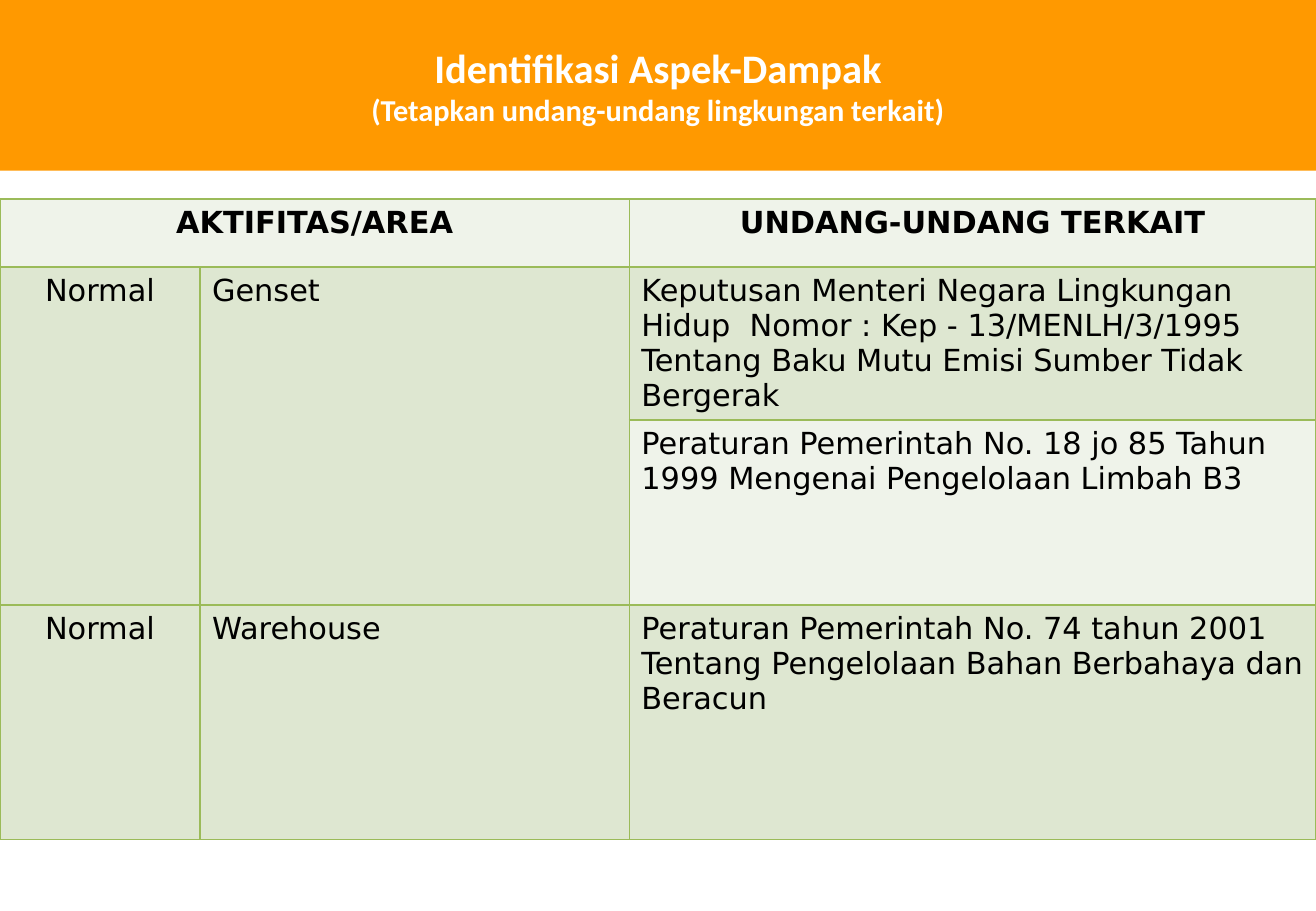
from lxml.etree import SubElement
from pptx import Presentation
from pptx.dml.color import RGBColor
from pptx.enum.shapes import MSO_SHAPE as SHAPE
from pptx.enum.text import MSO_ANCHOR as ANCHOR, PP_ALIGN as ALIGN
from pptx.oxml.ns import qn
from pptx.util import Pt

ORANGE = RGBColor(0xFF, 0x99, 0x00)
WHITE = RGBColor(0xFF, 0xFF, 0xFF)
BLACK = RGBColor(0x00, 0x00, 0x00)
GREEN = RGBColor(0x9B, 0xBB, 0x59)
PALE = RGBColor(0xEF, 0xF3, 0xEA)
SAGE = RGBColor(0xDE, 0xE7, 0xD1)

WIDTH, HEIGHT = 780, 540


class Deck:
    """Holds the style and the current slide."""
    title_font = "Calibri"
    table_font = "DejaVu Sans"
    table_size = 18
    border_width = 1

    def __init__(self):
        self.prs = Presentation()
        self.prs.slide_width, self.prs.slide_height = Pt(WIDTH), Pt(HEIGHT)
        self.s = self.prs.slides.add_slide(self.prs.slide_layouts[6])

    def run(self, p, text, font, size, color, bold, align):
        p.alignment = align
        r = p.add_run()
        r.text = text
        r.font.name, r.font.size, r.font.bold = font, Pt(size), bold
        r.font.color.rgb = color

    def banner(self, height, lines):
        sp = self.s.shapes.add_shape(SHAPE.RECTANGLE, 0, 0, Pt(WIDTH), Pt(height))
        sp.shadow.inherit = False
        sp.fill.solid()
        sp.fill.fore_color.rgb = ORANGE
        sp.line.fill.background()
        tf = sp.text_frame
        tf.word_wrap = True
        tf.vertical_anchor = ANCHOR.MIDDLE
        for i, (text, size) in enumerate(lines):
            p = tf.add_paragraph() if i else tf.paragraphs[0]
            self.run(p, text, self.title_font, size, WHITE, True, ALIGN.CENTER)

    def style_cell(self, cell, fill):
        tc_pr = cell._tc.get_or_add_tcPr()
        for side in ("lnL", "lnR", "lnT", "lnB"):
            ln = SubElement(tc_pr, qn(f"a:{side}"), w=str(Pt(self.border_width)))
            color = SubElement(SubElement(ln, qn("a:solidFill")), qn("a:srgbClr"))
            color.set("val", str(GREEN))
        cell.fill.solid()
        cell.fill.fore_color.rgb = fill

    def table(self, top, widths, heights, rows, fills, merges):
        frame = self.s.shapes.add_table(len(rows), len(widths), 0, Pt(top),
                                        Pt(sum(widths)), Pt(sum(heights)))
        tbl = frame.table
        for column, width in zip(tbl.columns, widths):
            column.width = Pt(width)
        for row, height in zip(tbl.rows, heights):
            row.height = Pt(height)
        for i, texts in enumerate(rows):
            for j, text in enumerate(texts):
                cell = tbl.cell(i, j)
                self.style_cell(cell, fills[i])
                p = cell.text_frame.paragraphs[0]
                p.font.size = Pt(self.table_size)
                if text:
                    header = i == 0
                    align = ALIGN.CENTER if header or j == 0 else ALIGN.LEFT
                    self.run(p, text, self.table_font, self.table_size,
                             BLACK, header, align)
        for first, last in merges:
            tbl.cell(*first).merge(tbl.cell(*last))


def main():
    deck = Deck()

    # Activities and the laws that apply to them
    deck.table(
        top=118,
        widths=[118.5, 254.5, 407],
        heights=[40.3, 83.5, 109.5, 139],
        rows=[
            ["AKTIFITAS/AREA", "", "UNDANG-UNDANG TERKAIT"],
            ["Normal", "Genset",
             "Keputusan Menteri Negara Lingkungan Hidup  Nomor : Kep - "
             "13/MENLH/3/1995 Tentang Baku Mutu Emisi Sumber Tidak Bergerak"],
            ["", "", "Peraturan Pemerintah No. 18 jo 85 Tahun 1999 Mengenai "
                     "Pengelolaan Limbah B3"],
            ["Normal", "Warehouse",
             "Peraturan Pemerintah No. 74 tahun 2001 Tentang Pengelolaan "
             "Bahan Berbahaya dan Beracun"],
        ],
        fills=[PALE, SAGE, PALE, SAGE],
        merges=[((0, 0), (0, 1)), ((1, 0), (2, 0)), ((1, 1), (2, 1))],
    )

    # Title banner
    deck.banner(101.25, [("Identifikasi Aspek-Dampak", 24),
                         ("(Tetapkan undang-undang lingkungan terkait)", 18)])

    deck.prs.save("out.pptx")


if __name__ == "__main__":
    main()
